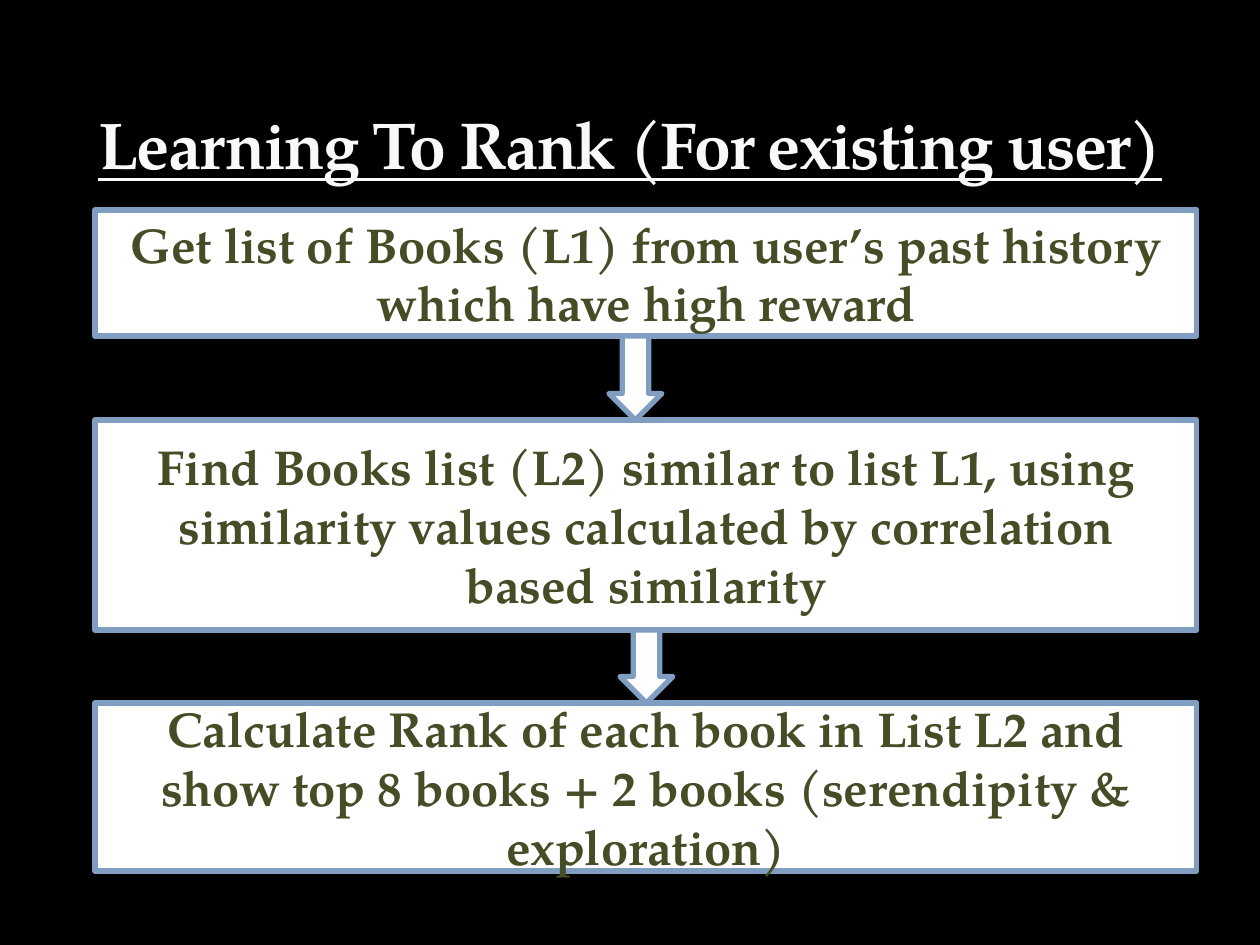
from pptx import Presentation
from pptx.dml.color import RGBColor
from pptx.enum.shapes import MSO_SHAPE
from pptx.enum.text import MSO_ANCHOR, PP_ALIGN
from pptx.util import Emu, Pt

PIXEL = 914400 // 126
BLACK = RGBColor(0x00, 0x00, 0x00)
WHITE = RGBColor(0xFF, 0xFF, 0xFF)
TITLE_WHITE = RGBColor(0xF9, 0xF9, 0xF9)
BLUE = RGBColor(0x80, 0x9E, 0xC2)
OLIVE = RGBColor(0x44, 0x4D, 0x26)
FONT = "TeX Gyre Pagella"


def pixels(*values):
    return [Emu(value * PIXEL) for value in values]


def write_text(shape, text, size, color, anchor=MSO_ANCHOR.MIDDLE,
               underline=False, spacing=0):
    frame = shape.text_frame
    frame.word_wrap = True
    frame.vertical_anchor = anchor
    paragraph = frame.paragraphs[0]
    paragraph.alignment = PP_ALIGN.CENTER
    run = paragraph.add_run()
    run.text = text
    run.font.name = FONT
    run.font.size = Pt(size)
    run.font.bold = True
    run.font.underline = underline
    run.font.color.rgb = color
    if spacing:
        run.font._element.set("spc", str(spacing * 100))


class FlowSlide:
    def __init__(self, presentation):
        self.slide = presentation.slides.add_slide(presentation.slide_layouts[6])
        self.slide.background.fill.solid()
        self.slide.background.fill.fore_color.rgb = BLACK

    def title(self, text, left, top, width, height):
        shape = self.slide.shapes.add_textbox(*pixels(left, top, width, height))
        write_text(shape, text, 37.8, TITLE_WHITE, anchor=MSO_ANCHOR.BOTTOM,
                   underline=True, spacing=-1)

    def outlined(self, kind, left, top, width, height):
        shape = self.slide.shapes.add_shape(kind, *pixels(left, top, width, height))
        shape.shadow.inherit = False
        shape.fill.solid()
        shape.fill.fore_color.rgb = WHITE
        shape.line.color.rgb = BLUE
        shape.line.width = Pt(3)
        return shape

    def step(self, text, top, height):
        shape = self.outlined(MSO_SHAPE.RECTANGLE, 95, top, 1102, height)
        write_text(shape, text, 28, OLIVE)

    def arrow(self, left, top, bottom):
        self.outlined(MSO_SHAPE.DOWN_ARROW, left, top, 53, bottom - top)


STEPS = [
    ("Get list of Books (L1) from user’s past history which have high reward", 210, 126),
    ("Find Books list (L2) similar to list L1, using similarity values "
     "calculated by correlation based similarity", 420, 210),
    ("Calculate Rank of each book in List L2 and show top 8 books + 2 books "
     "(serendipity & exploration)", 703, 168),
]
ARROW_LEFTS = [609, 620]

presentation = Presentation()
presentation.slide_width, presentation.slide_height = pixels(1260, 945)
flow = FlowSlide(presentation)
flow.title("Learning To Rank (For existing user)", 63, 21, 1134, 168)
for text, top, height in STEPS:
    flow.step(text, top, height)
for left, (_, top, height), (_, next_top, _) in zip(ARROW_LEFTS, STEPS, STEPS[1:]):
    flow.arrow(left, top + height, next_top)
presentation.save("out.pptx")
